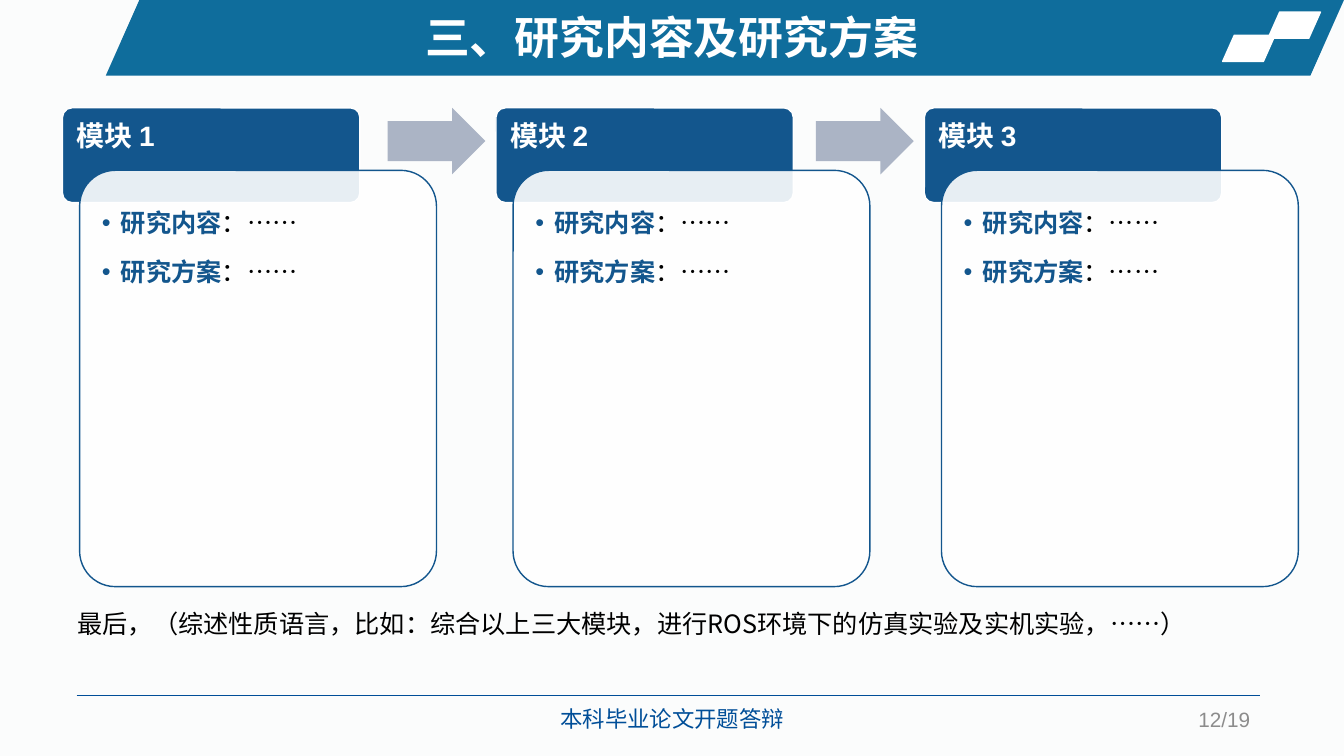
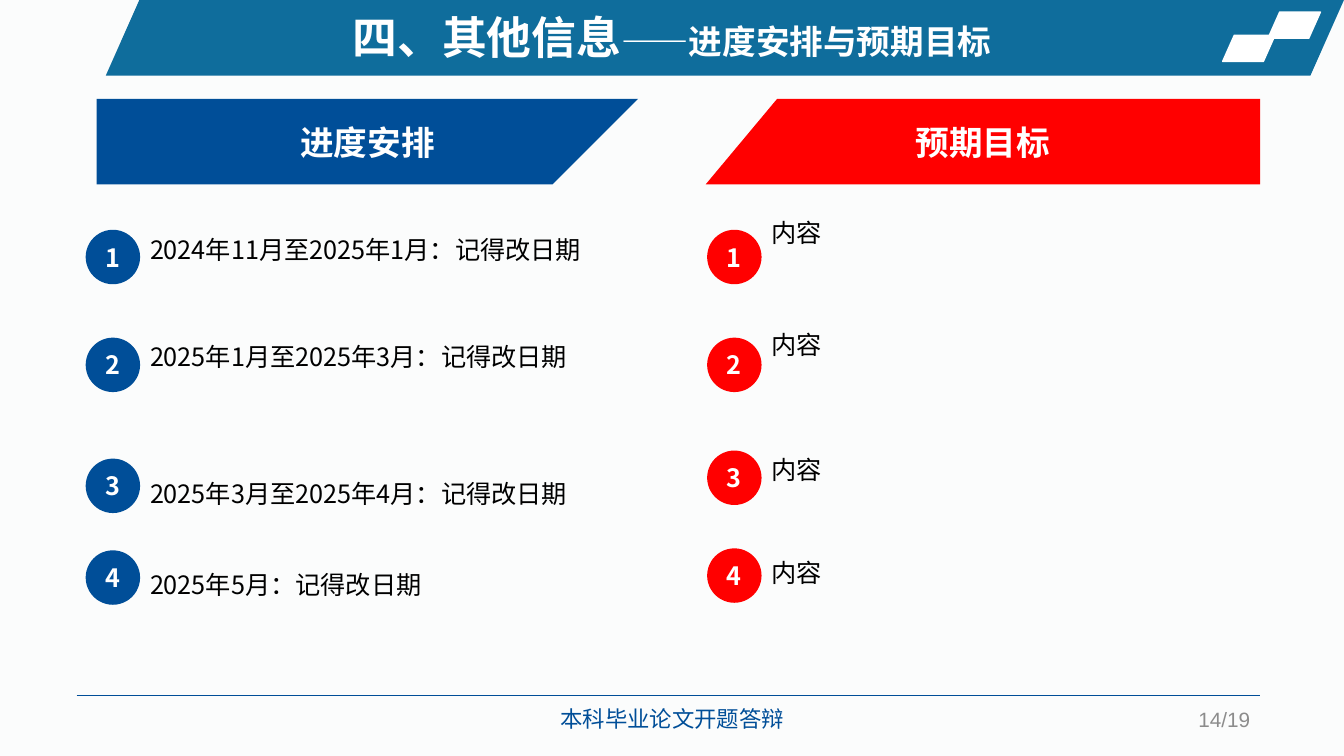
import dataclasses

import lxml.etree
import pptx
import pptx.dml.color
import pptx.enum.shapes
import pptx.enum.text
import pptx.oxml.ns
import pptx.util

SLIDE_WIDTH = pptx.util.Inches(13.33)
SLIDE_HEIGHT = pptx.util.Inches(7.5)
COLUMNS, ROWS = 160, 90

SHAPES = pptx.enum.shapes.MSO_SHAPE
ALIGN = pptx.enum.text.PP_ALIGN
MIDDLE = pptx.enum.text.MSO_ANCHOR.MIDDLE

PAPER, WHITE, BLACK, GRAY = "FBFCFC", "FFFFFF", "000000", "8C8C8C"
BAND, BLUE, RED = "0F6D9C", "004E98", "FF0000"
MODULE, ARROW = "13568D", "ABB4C5"
SANS, LATIN = "Noto Sans CJK SC", "Arial"

TITLE = {"size": 32, "name": SANS, "color": WHITE, "bold": True}
SUBTITLE = {**TITLE, "size": 24}
FOOTER = {"size": 16, "name": LATIN, "color": BLUE}
PAGE = {"size": 14.8, "name": LATIN, "color": GRAY}
BODY = {"size": 18, "name": SANS, "color": BLACK}
BODY_LATIN = {**BODY, "name": LATIN}
BADGE = {**BODY, "color": WHITE, "bold": True}
MODULE_HEAD = {"size": 20, "name": LATIN, "color": WHITE, "bold": True}
MODULE_TERM = {**BODY_LATIN, "color": MODULE, "bold": True}


@dataclasses.dataclass
class Box:
    """A rectangle measured in columns and rows of the slide grid."""

    left: float
    top: float
    width: float
    height: float

    def inner(self, left, top, width, height):
        """Return a box placed relative to this one."""
        return Box(self.left + left, self.top + top, width, height)

    def point(self, left, top):
        """Return a position inside this box in slide units."""
        return (
            round((self.left + left) * SLIDE_WIDTH / COLUMNS),
            round((self.top + top) * SLIDE_HEIGHT / ROWS),
        )

    def extent(self):
        """Return left, top, width and height in slide units."""
        left, top = self.point(0, 0)
        right, bottom = self.point(self.width, self.height)
        return left, top, right - left, bottom - top


PAGE_BOX = Box(0, 0, COLUMNS, ROWS)


def color(value):
    """Turn a hex string into a colour."""
    return pptx.dml.color.RGBColor.from_string(value)


def assign(target, values):
    """Set every attribute given in a dict."""
    for name, value in values.items():
        setattr(target, name, value)


def write(frame, paragraphs, frame_format=None, **paragraph_format):
    """Fill a text frame with paragraphs made of (text, style) runs."""
    assign(frame, {"word_wrap": True, **(frame_format or {})})
    for index, runs in enumerate(paragraphs):
        paragraph = frame.add_paragraph() if index else frame.paragraphs[0]
        assign(paragraph, paragraph_format)
        for text, style in runs:
            run = paragraph.add_run()
            run.text = text
            run.font.color.rgb = color(style["color"])
            assign(run.font, {
                "size": pptx.util.Pt(style["size"]),
                "name": style["name"],
                "bold": style.get("bold", False),
            })
            lxml.etree.SubElement(
                run._r.get_or_add_rPr(), pptx.oxml.ns.qn("a:ea"), typeface=SANS)


def add_text(slide, box, paragraphs, frame_format=None, **paragraph_format):
    """Add a text box."""
    shape = slide.shapes.add_textbox(*box.extent())
    write(shape.text_frame, paragraphs, frame_format, **paragraph_format)
    return shape


def paint(shape, fill, line=None):
    """Give a shape a flat fill, an optional outline and no shadow."""
    shape.shadow.inherit = False
    shape.fill.solid()
    shape.fill.fore_color.rgb = color(fill)
    if line:
        shape.line.color.rgb = color(line)
        shape.line.width = pptx.util.Pt(1)
    else:
        shape.line.fill.background()


def add_shape(slide, kind, box, fill, line=None, adjustments=()):
    """Add a painted preset shape."""
    shape = slide.shapes.add_shape(kind, *box.extent())
    for index, value in enumerate(adjustments):
        shape.adjustments[index] = value
    paint(shape, fill, line)
    return shape


def make_transparent(shape, percent):
    """Set the opacity of a solid fill."""
    fill = shape._element.spPr.find(pptx.oxml.ns.qn("a:solidFill"))
    lxml.etree.SubElement(
        fill[0], pptx.oxml.ns.qn("a:alpha"), val=str(percent * 1000))


def add_bullets(frame, indent):
    """Give every paragraph a hanging round bullet."""
    for paragraph in frame.paragraphs:
        properties = paragraph._p.get_or_add_pPr()
        properties.set("marL", str(indent))
        properties.set("indent", str(-indent))
        lxml.etree.SubElement(
            properties, pptx.oxml.ns.qn("a:buFont"), typeface=LATIN)
        lxml.etree.SubElement(
            properties, pptx.oxml.ns.qn("a:buChar"), char="•")


def add_header(slide, box, title):
    """Draw the title band with its two marks."""
    slant = [0.444]
    add_shape(slide, SHAPES.PARALLELOGRAM, box, BAND, adjustments=slant)
    for left, top in ((138.36, 1.44), (132.96, 4.2)):
        add_shape(slide, SHAPES.PARALLELOGRAM, box.inner(left, top, 6.24, 3.12),
                  WHITE, WHITE, slant)
    add_text(slide, box.inner(10.68, 0.6, 113.4, 7.68), [title],
             alignment=ALIGN.CENTER)


def add_footer(slide, box, page):
    """Draw the footer rule, the talk name and the page number."""
    rule = slide.shapes.add_connector(
        pptx.enum.shapes.MSO_CONNECTOR.STRAIGHT,
        *box.point(0, 0), *box.point(box.width, 0))
    rule.line.color.rgb = color(BLUE)
    rule.line.width = pptx.util.Pt(0.5)
    lxml.etree.SubElement(
        rule._element.spPr, pptx.oxml.ns.qn("a:effectLst"))
    add_text(slide, box.inner(54.12, 0.6, 33.6, 4.44),
             [[("本科毕业论文开题答辩", FOOTER)]], alignment=ALIGN.CENTER)
    add_text(slide, box.inner(box.width - 35.4, 0.72, 35.4, 4.2),
             [[(page, PAGE)]], {"vertical_anchor": MIDDLE},
             alignment=ALIGN.RIGHT)


def add_slide(presentation, title, page):
    """Add a blank slide with the shared header and footer."""
    slide = presentation.slides.add_slide(presentation.slide_layouts[6])
    slide.background.fill.solid()
    slide.background.fill.fore_color.rgb = color(PAPER)
    add_header(slide, PAGE_BOX.inner(12.6, 0, 147.4, 9), title)
    add_footer(slide, PAGE_BOX.inner(9.12, 82.8, 140.88, 5.2), page)
    return slide


def add_module(slide, box, heading, terms):
    """Draw a module tab with a bulleted card over its lower part."""
    add_shape(slide, SHAPES.ROUNDED_RECTANGLE, box.inner(0, 0, 35.4, 11.28),
              MODULE, WHITE, [0.1])
    inset = pptx.util.Inches(0.14)
    add_text(slide, box.inner(0, 0, 35.4, 7.56), [[(heading, MODULE_HEAD)]],
             {"margin_left": inset, "margin_top": inset, "margin_right": inset},
             line_spacing=0.9)
    card = box.inner(2.04, 7.44, box.width - 2.04, box.height - 7.44)
    shape = add_shape(slide, SHAPES.ROUNDED_RECTANGLE, card,
                      WHITE, MODULE, [0.1])
    make_transparent(shape, 90)
    sides = ("left", "top", "right", "bottom")
    text = add_text(
        slide, card.inner(1.2, 1.2, card.width - 2.4, card.height - 2.4),
        [[(term, MODULE_TERM), ("：……", BODY_LATIN)] for term in terms],
        {f"margin_{side}": pptx.util.Inches(0.12) for side in sides},
        line_spacing=1.5, space_after=pptx.util.Pt(2.7))
    add_bullets(text.text_frame, pptx.util.Inches(0.19))


def add_banner(slide, box, corners, fill, heading):
    """Draw a slanted column heading through the given corners."""
    points = [box.point(*corner) for corner in corners]
    builder = slide.shapes.build_freeform(*points[0])
    builder.add_line_segments(points[1:], close=True)
    shape = builder.convert_to_shape()
    paint(shape, fill)
    write(shape.text_frame, [[(heading, SUBTITLE)]],
          {"vertical_anchor": MIDDLE}, alignment=ALIGN.CENTER)


def add_numbered_list(slide, box, fill, style, items):
    """Draw numbered badges, each with a text at its right."""
    badge = 6.48
    for number, (badge_top, text_top, spacing, text) in enumerate(items, 1):
        circle = add_shape(slide, SHAPES.OVAL,
                           box.inner(0, badge_top, badge, badge), fill)
        write(circle.text_frame, [[(str(number), BADGE)]],
              {"vertical_anchor": MIDDLE}, alignment=ALIGN.CENTER)
        add_text(slide, box.inner(badge, text_top, box.width - badge, 6),
                 [[(text, style)]], line_spacing=spacing)


def build_modules(presentation):
    """Build the slide on research content and plan."""
    slide = add_slide(presentation, [("三、研究内容及研究方案", TITLE)], "12/19")
    for number, left in enumerate((7.44, 59.04, 110.04), 1):
        box = PAGE_BOX.inner(left, 12.84, 44.52, 57)
        add_module(slide, box, f"模块 {number}", ("研究内容", "研究方案"))
        if number > 1:
            add_shape(slide, SHAPES.RIGHT_ARROW,
                      box.inner(-12.9, 0, 11.64, 7.92), ARROW,
                      adjustments=[0.6, 0.5])
    add_text(slide, PAGE_BOX.inner(8.04, 70.08, 144, 6), [[(
        "最后，（综述性质语言，比如：综合以上三大模块，"
        "进行ROS环境下的仿真实验及实机实验，……）", BODY)]], line_spacing=1.5)


def build_schedule(presentation):
    """Build the slide on schedule and expected goals."""
    slide = add_slide(
        presentation,
        [("四、其他信息", TITLE), ("——进度安排与预期目标", SUBTITLE)], "14/19")
    add_banner(slide, PAGE_BOX.inner(11.52, 11.76, 64.44, 10.2),
               ((0, 0), (64.44, 0), (54.24, 10.2), (0, 10.2)),
               BLUE, "进度安排")
    add_banner(slide, PAGE_BOX.inner(84, 11.76, 66, 10.2),
               ((8.52, 0), (66, 0), (66, 10.2), (0, 10.2)),
               RED, "预期目标")
    add_numbered_list(
        slide, PAGE_BOX.inner(10.2, 27.36, 65.04, 44), BLUE, BODY, (
            (0, 0, 1.0, "2024年11月至2025年1月：记得改日期"),
            (12.84, 12.36, 1.1, "2025年1月至2025年3月：记得改日期"),
            (27.24, 27.24, 1.5, "2025年3月至2025年4月：记得改日期"),
            (38.16, 38.04, 1.5, "2025年5月：记得改日期")))
    tops = ((0, -2.04), (12.84, 11.28), (26.28, 26.16), (37.92, 38.4))
    add_numbered_list(
        slide, PAGE_BOX.inner(84.18, 27.36, 65.04, 44), RED, BODY_LATIN,
        [(badge_top, text_top, 1.0, "内容") for badge_top, text_top in tops])


def main():
    """Build the presentation and save it."""
    presentation = pptx.Presentation()
    assign(presentation,
           {"slide_width": SLIDE_WIDTH, "slide_height": SLIDE_HEIGHT})
    build_modules(presentation)
    build_schedule(presentation)
    presentation.save("out.pptx")


if __name__ == "__main__":
    main()
